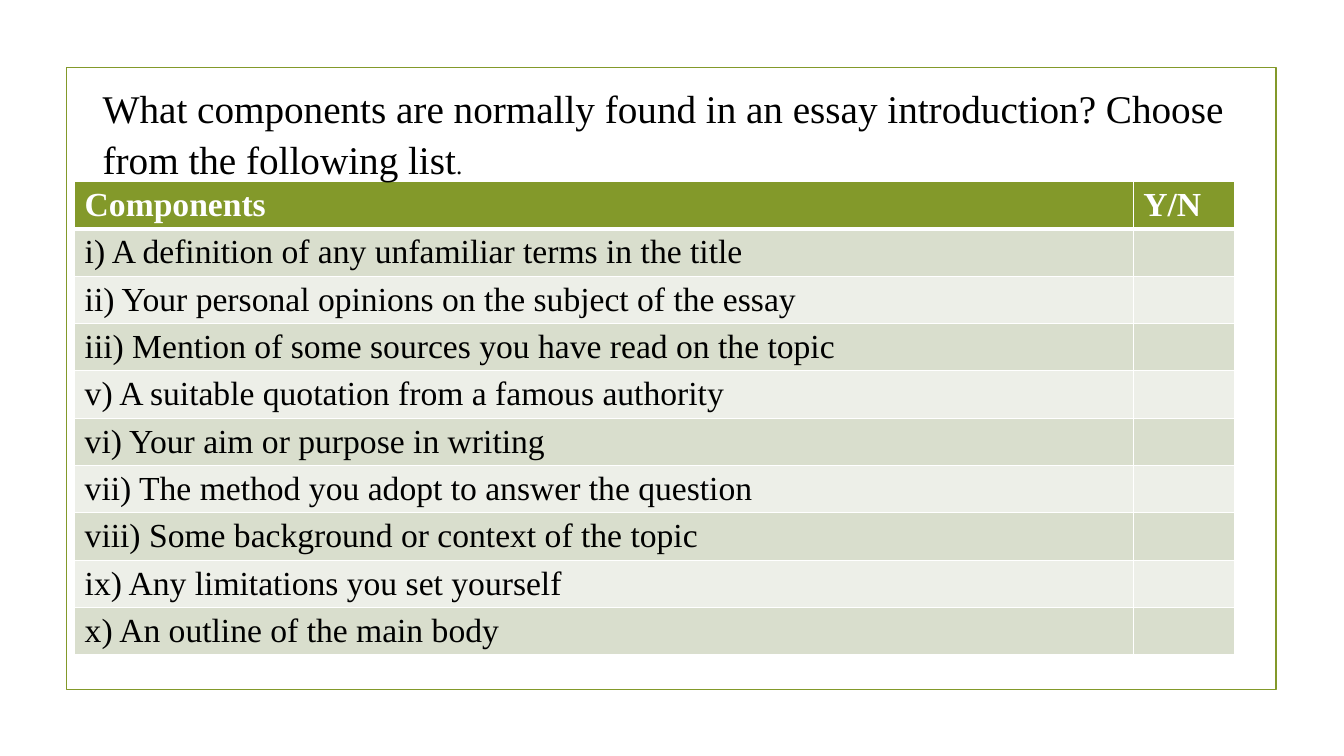
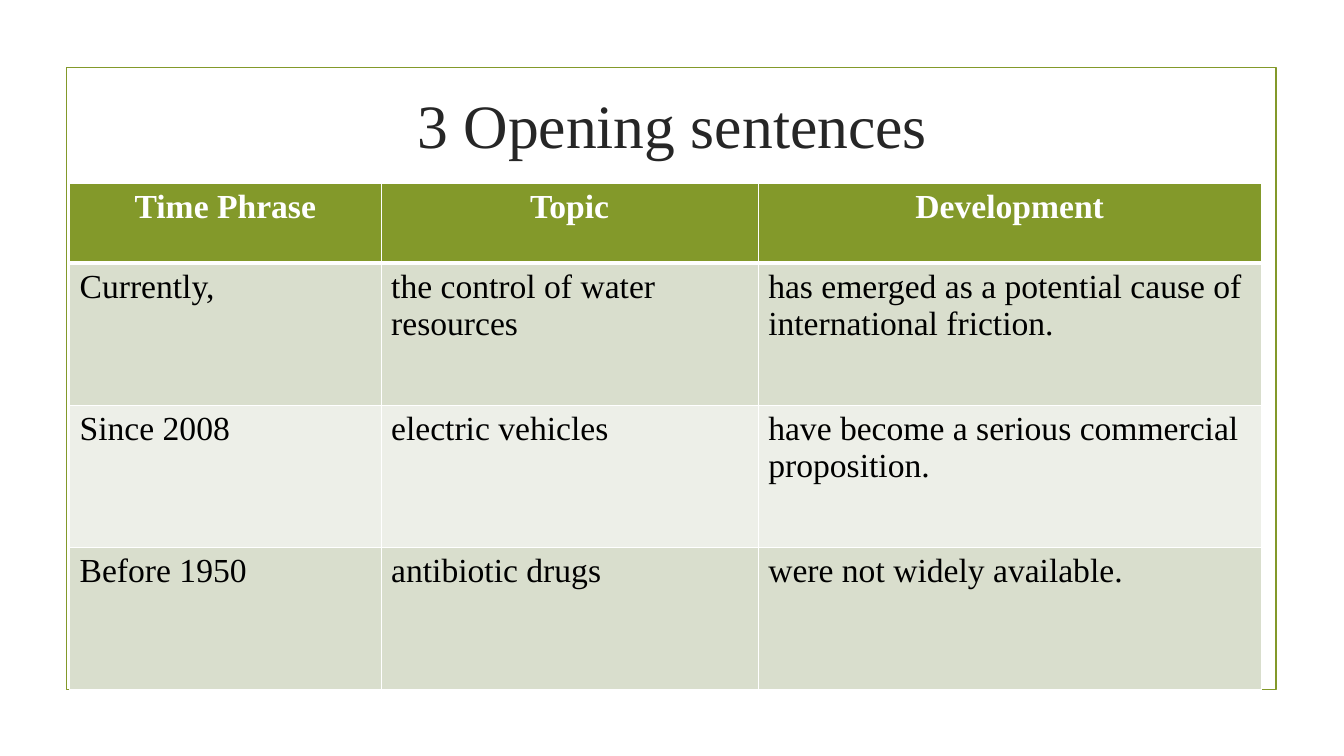
from dataclasses import dataclass

from lxml import etree
from pptx import Presentation
from pptx.dml.color import RGBColor
from pptx.enum.shapes import MSO_SHAPE
from pptx.enum.text import MSO_ANCHOR, PP_ALIGN
from pptx.oxml.ns import qn
from pptx.slide import Slide
from pptx.table import _Cell
from pptx.text.text import TextFrame
from pptx.util import Emu, Pt

RECTANGLE = MSO_SHAPE.RECTANGLE
LEFT, CENTER = PP_ALIGN.LEFT, PP_ALIGN.CENTER
TOP, MIDDLE = MSO_ANCHOR.TOP, MSO_ANCHOR.MIDDLE

EMU_PER_PX = 9144  # 100 px to the inch
FONT = "Times New Roman"
GREEN, WHITE, BLACK, CHARCOAL = "83992A", "FFFFFF", "000000", "262626"
BANDS = ("D9DECD", "EDEFE8")
TABLE_TEXT_SIZE = 24
THIN_BORDER, HEADER_BORDER = 1, 3


@dataclass(frozen=True)
class Box:
    left: int
    top: int
    width: int
    height: int


@dataclass(frozen=True)
class TableContent:
    left: int
    top: int
    columns: tuple[int, ...]
    header_height: int
    row_height: int
    header_align: PP_ALIGN
    rows: tuple[tuple[str, ...], ...]


SLIDE_WIDTH, SLIDE_HEIGHT = 1333, 750
FRAME = Box(66, 67, 1200, 617)
QUESTION = Box(92, 75, 1166, 104)
TITLE = Box(142, 77, 1050, 91)

COMPONENTS = (
    "i) A definition of any unfamiliar terms in the title",
    "ii) Your personal opinions on the subject of the essay",
    "iii) Mention of some sources you have read on the topic",
    "v) A suitable quotation from a famous authority",
    "vi) Your aim or purpose in writing",
    "vii) The method you adopt to answer the question",
    "viii) Some background or context of the topic",
    "ix) Any limitations you set yourself",
    "x) An outline of the main body",
)
CHECKLIST = TableContent(
    74, 180, (1050, 100), 47, 47, LEFT,
    (("Components", "Y/N"), *((component, "") for component in COMPONENTS)),
)
OPENINGS = TableContent(
    69, 182, (309, 374, 499), 79, 141, CENTER,
    (
        ("Time Phrase", "Topic", "Development"),
        ("Currently,", "the control of water resources",
         "has emerged as a potential cause of international friction."),
        ("Since 2008", "electric vehicles",
         "have become a serious commercial proposition."),
        ("Before 1950", "antibiotic drugs", "were not widely available."),
    ),
)


def px(length: int) -> Emu:
    return Emu(length * EMU_PER_PX)


def place(box: Box) -> tuple[Emu, Emu, Emu, Emu]:
    return px(box.left), px(box.top), px(box.width), px(box.height)


def color(value: str) -> RGBColor:
    return RGBColor.from_string(value)


def write(frame: TextFrame, text: str, *, size: int, ink: str = BLACK,
          bold: bool = False, align: PP_ALIGN = LEFT,
          spacing: float = 1.0) -> None:
    """Append a formatted run to the first paragraph."""
    paragraph = frame.paragraphs[0]
    paragraph.alignment = align
    paragraph.line_spacing = spacing
    run = paragraph.add_run()
    run.text = text
    run.font.name = FONT
    run.font.size = Pt(size)
    run.font.bold = bold
    run.font.color.rgb = color(ink)


def add_text_area(slide: Slide, box: Box, anchor: MSO_ANCHOR = TOP) -> TextFrame:
    frame = slide.shapes.add_textbox(*place(box)).text_frame
    frame.word_wrap = True
    frame.vertical_anchor = anchor
    return frame


def set_borders(cell: _Cell, top: int, bottom: int) -> None:
    """Draw white borders; top and bottom are widths in points."""
    properties = cell._tc.get_or_add_tcPr()
    widths = {"lnL": THIN_BORDER, "lnR": THIN_BORDER, "lnT": top, "lnB": bottom}
    for side, width in widths.items():
        border = etree.SubElement(properties, qn(f"a:{side}"), w=str(Pt(width)))
        fill = etree.SubElement(border, qn("a:solidFill"))
        etree.SubElement(fill, qn("a:srgbClr"), val=WHITE)


def add_banded_table(slide: Slide, content: TableContent) -> None:
    body_count = len(content.rows) - 1
    heights = [content.header_height] + [content.row_height] * body_count
    box = Box(content.left, content.top, sum(content.columns), sum(heights))
    table = slide.shapes.add_table(
        len(heights), len(content.columns), *place(box)).table
    table.horz_banding = False
    for column, width in zip(table.columns, content.columns):
        column.width = px(width)
    for index, (row, height, texts) in enumerate(
            zip(table.rows, heights, content.rows)):
        row.height = px(height)
        header = index == 0
        for cell, text in zip(row.cells, texts):
            set_borders(cell,
                        top=HEADER_BORDER if index == 1 else THIN_BORDER,
                        bottom=HEADER_BORDER if header else THIN_BORDER)
            cell.fill.solid()
            cell.fill.fore_color.rgb = color(
                GREEN if header else BANDS[(index - 1) % len(BANDS)])
            if text:
                write(cell.text_frame, text, size=TABLE_TEXT_SIZE, bold=header,
                      ink=WHITE if header else BLACK,
                      align=content.header_align if header else LEFT)


def add_framed_slide(presentation: Presentation) -> Slide:
    slide = presentation.slides.add_slide(presentation.slide_layouts[6])
    frame = slide.shapes.add_shape(RECTANGLE, *place(FRAME))
    frame.shadow.inherit = False
    frame.fill.background()
    frame.line.color.rgb = color(GREEN)
    frame.line.width = Pt(1.25)
    return slide


def build_checklist(presentation: Presentation) -> None:
    slide = add_framed_slide(presentation)
    add_banded_table(slide, CHECKLIST)
    question = add_text_area(slide, QUESTION)
    write(question, "What components are normally found in an essay "
          "introduction? Choose from the following list", size=28, spacing=1.08)
    write(question, ".", size=18, spacing=1.08)


def build_openings(presentation: Presentation) -> None:
    slide = add_framed_slide(presentation)
    title = add_text_area(slide, TITLE, MIDDLE)
    write(title, "3 Opening sentences", size=44, ink=CHARCOAL, align=CENTER)
    add_banded_table(slide, OPENINGS)


def main() -> None:
    presentation = Presentation()
    presentation.slide_width = px(SLIDE_WIDTH)
    presentation.slide_height = px(SLIDE_HEIGHT)
    build_checklist(presentation)
    build_openings(presentation)
    presentation.save("out.pptx")


if __name__ == "__main__":
    main()
